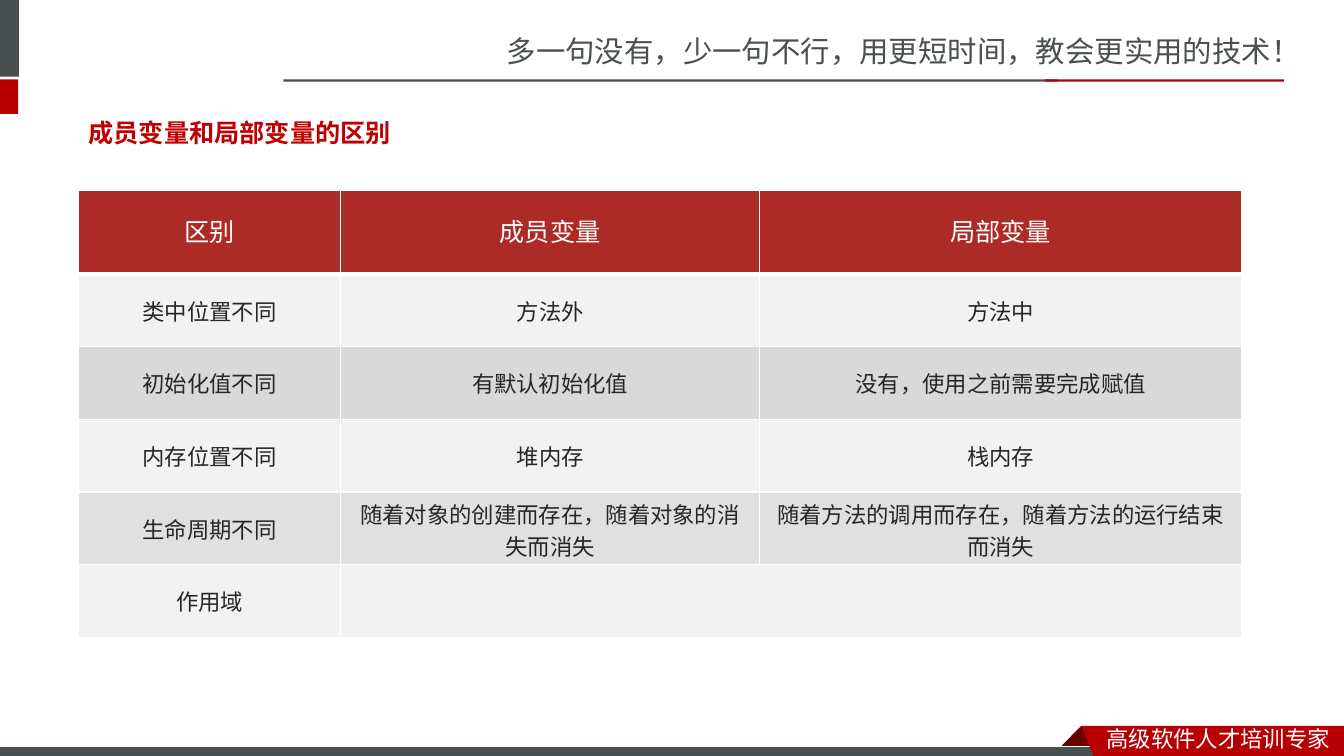
"""Build the slide comparing member variables with local variables."""
from lxml import etree
from pptx import Presentation
from pptx.dml.color import RGBColor
from pptx.enum import shapes, text
from pptx.oxml import ns
from pptx.util import Cm, Pt

GREY = RGBColor(0x49, 0x50, 0x4F)
RED = RGBColor(0xB6, 0x00, 0x04)
DARK_RED = RGBColor(0x68, 0x00, 0x00)
TITLE_RED = RGBColor(0xC0, 0x00, 0x00)
HEADER_RED = RGBColor(0xAD, 0x2B, 0x26)
WHITE = RGBColor(0xFF, 0xFF, 0xFF)
INK = RGBColor(0x26, 0x26, 0x26)
LIGHT = RGBColor(0xF2, 0xF2, 0xF2)
MEDIUM = RGBColor(0xD9, 0xD9, 0xD9)
CJK_FONT = "Noto Sans CJK SC"


def style(paragraph, size, color, name, bold=False):
    font = paragraph.font
    font.size, font.name, font.bold = Pt(size), name, bold
    font.color.rgb = color
    properties = paragraph._p.pPr.find(ns.qn("a:defRPr"))
    etree.SubElement(properties, ns.qn("a:ea"), typeface=CJK_FONT)


def add_label(box, words, size, color, name, anchor, bold=False):
    frame = slide.shapes.add_textbox(*map(Cm, box)).text_frame
    frame.word_wrap = True
    frame.vertical_anchor = anchor
    frame.text = words
    style(frame.paragraphs[0], size, color, name, bold)


presentation = Presentation()
presentation.slide_width, presentation.slide_height = Cm(33.87), Cm(19.05)
slide = presentation.slides.add_slide(presentation.slide_layouts[6])

add_label((12.52, 0.71, 21.36, 1.19), "多一句没有，少一句不行，用更短时间，教会更实用的技术！",
          21, GREY, CJK_FONT, text.MSO_ANCHOR.TOP)

bars = [
    ((-0.15, 0, 0.63, 1.93), GREY),
    ((-0.15, 2, 0.61, 0.87), RED),
    ((7.14, 2, 19.5, 0.06), GREY),
    ((26.34, 2, 6.02, 0.06), RED),
]
for box, color in bars:
    bar = slide.shapes.add_shape(shapes.MSO_SHAPE.RECTANGLE, *map(Cm, box))
    bar.shadow.inherit = False
    bar.fill.solid()
    bar.fill.fore_color.rgb = color
    bar.line.fill.background()

ribbon_fold = [(27.25, 18.29), (27.81, 18.85), (27.79, 18.87), (26.72, 18.87), (26.7, 18.85)]
footer_bar = [(-0.03, 18.82), (27.91, 18.82), (27.91, 19.12), (-0.03, 19.12)]
ribbon = [(27.25, 18.29), (33.87, 18.29), (33.87, 19.15), (27.58, 19.13)]
for points, color in [(ribbon_fold, DARK_RED), (footer_bar, GREY), (ribbon, RED)]:
    corners = [(Cm(x), Cm(y)) for x, y in points]
    if points is footer_bar:
        (left, top), (right, bottom) = corners[0], corners[2]
        shape = slide.shapes.add_shape(
            shapes.MSO_SHAPE.RECTANGLE, left, top, right - left, bottom - top)
        shape.line.color.rgb = WHITE
        shape.line.width = Pt(0.75)
    else:
        builder = slide.shapes.build_freeform(*corners[0])
        builder.add_line_segments(corners[1:], close=True)
        shape = builder.convert_to_shape()
        shape.line.fill.background()
    shape.shadow.inherit = False
    shape.fill.solid()
    shape.fill.fore_color.rgb = color

add_label((27.64, 18.16, 6.22, 0.94), "高级软件人才培训专家",
          16, WHITE, CJK_FONT, text.MSO_ANCHOR.TOP)
add_label((1.98, 2.62, 9.35, 1.45), "成员变量和局部变量的区别",
          18, TITLE_RED, "Noto Sans Mono", text.MSO_ANCHOR.MIDDLE, bold=True)

rows = [
    ("区别", "成员变量", "局部变量"),
    ("类中位置不同", "方法外", "方法中"),
    ("初始化值不同", "有默认初始化值", "没有，使用之前需要完成赋值"),
    ("内存位置不同", "堆内存", "栈内存"),
    ("生命周期不同", "随着对象的创建而存在，随着对象的消失而消失",
     "随着方法的调用而存在，随着方法的运行结束而消失"),
    ("作用域", "", ""),
]
row_fills = [HEADER_RED, LIGHT, MEDIUM, LIGHT, MEDIUM, LIGHT]
column_widths = [6.6, 10.57, 12.14]
header_height, body_height = 2.11, 1.83
table = slide.shapes.add_table(
    len(rows), len(column_widths), Cm(1.98), Cm(4.8), Cm(sum(column_widths)),
    Cm(header_height + body_height * (len(rows) - 1))).table
for column, width in zip(table.columns, column_widths):
    column.width = Cm(width)

for row_index, words in enumerate(rows):
    is_header = row_index == 0
    table.rows[row_index].height = Cm(header_height if is_header else body_height)
    for column_index, word in enumerate(words):
        cell = table.cell(row_index, column_index)
        cell.vertical_anchor = text.MSO_ANCHOR.MIDDLE
        cell.fill.solid()
        cell.fill.fore_color.rgb = row_fills[row_index]
        properties = cell._tc.tcPr
        if row_index == 4:
            fill_color = properties.find(".//" + ns.qn("a:srgbClr"))
            etree.SubElement(fill_color, ns.qn("a:alpha"), val="80000")
        thick_side = {0: "B", 1: "T"}.get(row_index)
        for position, side in enumerate("LRTB"):
            border = etree.Element(
                ns.qn("a:ln" + side), w=str(Pt(3 if side == thick_side else 1)))
            line_fill = etree.SubElement(border, ns.qn("a:solidFill"))
            etree.SubElement(line_fill, ns.qn("a:srgbClr"), val=str(WHITE))
            properties.insert(position, border)
        if word:
            cell.text = word
            paragraph = cell.text_frame.paragraphs[0]
            paragraph.alignment = text.PP_ALIGN.CENTER
            if is_header:
                paragraph.line_spacing = Pt(24)
            style(paragraph, 18 if is_header else 16, WHITE if is_header else INK, "Roboto")
table.cell(5, 1).merge(table.cell(5, 2))

presentation.save("out.pptx")
